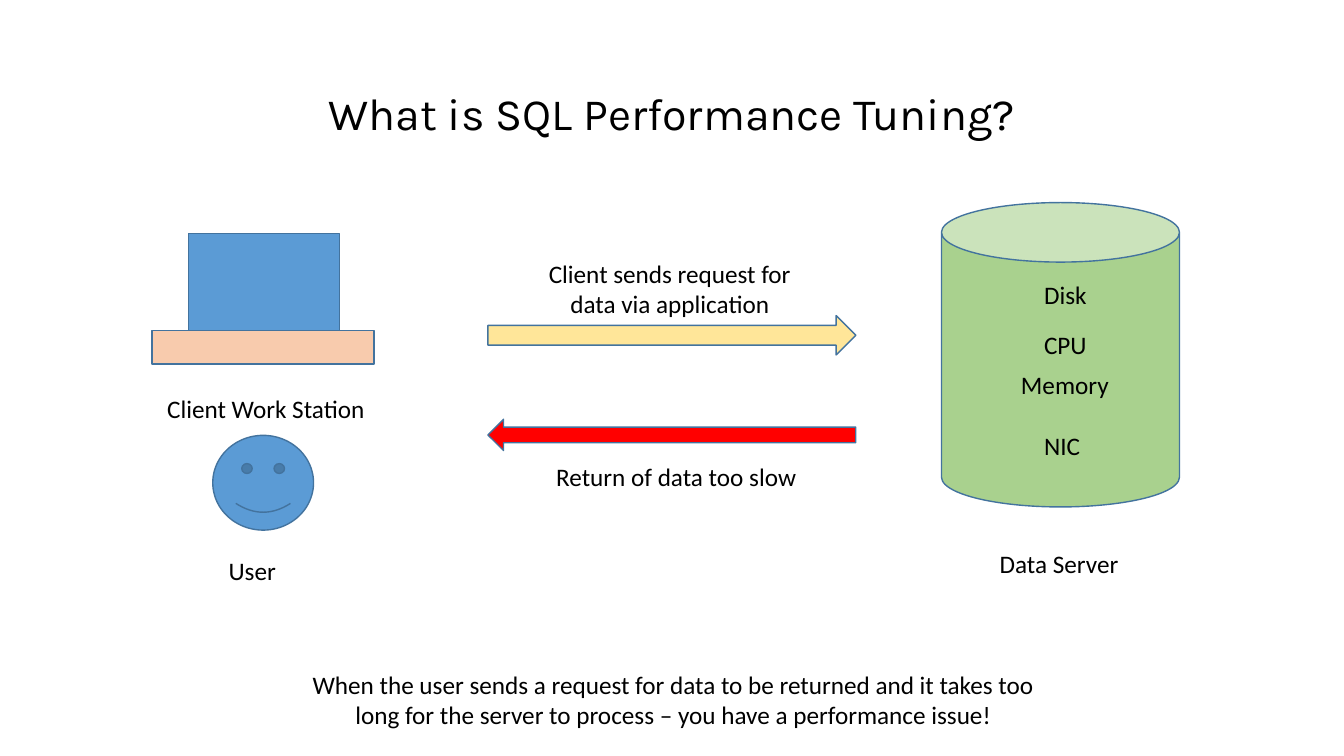
from dataclasses import dataclass

from pptx import Presentation
from pptx.dml.color import RGBColor
from pptx.enum.shapes import MSO_SHAPE
from pptx.enum.text import MSO_ANCHOR, MSO_AUTO_SIZE, PP_ALIGN
from pptx.util import Pt

RECT, SMILEY = MSO_SHAPE.RECTANGLE, MSO_SHAPE.SMILEY_FACE
ARROW, CAN = MSO_SHAPE.RIGHT_ARROW, MSO_SHAPE.CAN
LEFT, CENTER = PP_ALIGN.LEFT, PP_ALIGN.CENTER
TOP, NO_FIT = MSO_ANCHOR.TOP, MSO_AUTO_SIZE.NONE
TITLE_ONLY = 5


@dataclass(frozen=True)
class Theme:
    title_font: str = "Karla"
    body_font: str = "Calibri"
    title_size: int = 32
    body_size: int = 18
    text: str = "000000"
    outline: str = "43739E"
    blue: str = "5B9BD5"
    peach: str = "F8CBAD"
    yellow: str = "FFE699"
    green: str = "A9D18E"
    red: str = "FF0000"


class SlideBuilder:
    def __init__(self, slide, theme):
        self.s = slide
        self.theme = theme

    def set_text(self, sp, text, font, size, align):
        tf = sp.text_frame
        tf.word_wrap = True
        tf.auto_size = NO_FIT
        tf.vertical_anchor = TOP
        p = tf.paragraphs[0]
        p.alignment = align
        r = p.add_run()
        r.text = text
        r.font.name = font
        r.font.size = Pt(size)
        r.font.color.rgb = RGBColor.from_string(self.theme.text)

    def title(self, text, x, y, w, h):
        sp = self.s.shapes.title
        sp.left, sp.top, sp.width, sp.height = Pt(x), Pt(y), Pt(w), Pt(h)
        self.set_text(sp, text, self.theme.title_font, self.theme.title_size, CENTER)

    def label(self, text, x, y, w, h=29, align=LEFT):
        sp = self.s.shapes.add_textbox(Pt(x), Pt(y), Pt(w), Pt(h))
        self.set_text(sp, text, self.theme.body_font, self.theme.body_size, align)

    def shape(self, kind, color, x, y, w, h, rotation=0):
        sp = self.s.shapes.add_shape(kind, Pt(x), Pt(y), Pt(w), Pt(h))
        sp.shadow.inherit = False
        sp.rotation = rotation
        sp.fill.solid()
        sp.fill.fore_color.rgb = RGBColor.from_string(color)
        sp.line.color.rgb = RGBColor.from_string(self.theme.outline)
        sp.line.width = Pt(1)


def main():
    prs = Presentation()
    prs.slide_width, prs.slide_height = Pt(960), Pt(540)
    theme = Theme()
    b = SlideBuilder(prs.slides.add_slide(prs.slide_layouts[TITLE_ONLY]), theme)

    b.title("What is SQL Performance Tuning?", 218.2, 57.6, 524.2, 46.1)

    # Client side
    b.shape(SMILEY, theme.blue, 152, 311, 72, 67.7)
    b.shape(RECT, theme.blue, 134.6, 167, 108, 69.8)
    b.shape(RECT, theme.peach, 108.7, 236.2, 158.4, 23.8)
    b.label("User", 156.2, 393.1, 55.4)
    b.label("Client Work Station", 112.3, 277.2, 160)

    # Request and response
    arrow_x, arrow_w = 348.5, 262.8
    b.shape(ARROW, theme.yellow, arrow_x, 225.4, arrow_w, 28.1)
    b.label("Client sends request for data via application",
            373.7, 180.7, 209.5, 51.1, CENTER)
    b.shape(ARROW, theme.red, arrow_x, 299.5, arrow_w, 22.3, rotation=180)
    b.label("Return of data too slow", 390.2, 326.2, 209.5)

    # Server side
    b.shape(CAN, theme.green, 672.5, 144.7, 170, 217.4)
    b.label("Data Server", 707, 388.1, 110)
    for resource, x, y, w in (
        ("Disk", 738.7, 195.8, 50),
        ("CPU", 738.7, 231.8, 53.3),
        ("Memory", 722.2, 260.6, 86.4),
        ("NIC", 738.7, 303.8, 50),
    ):
        b.label(resource, x, y, w)

    b.label("When the user sends a request for data to be returned and it takes too "
            "long for the server to process – you have a performance issue!",
            203.8, 474.5, 554.4, 51.1, CENTER)

    prs.save("out.pptx")


if __name__ == "__main__":
    main()
